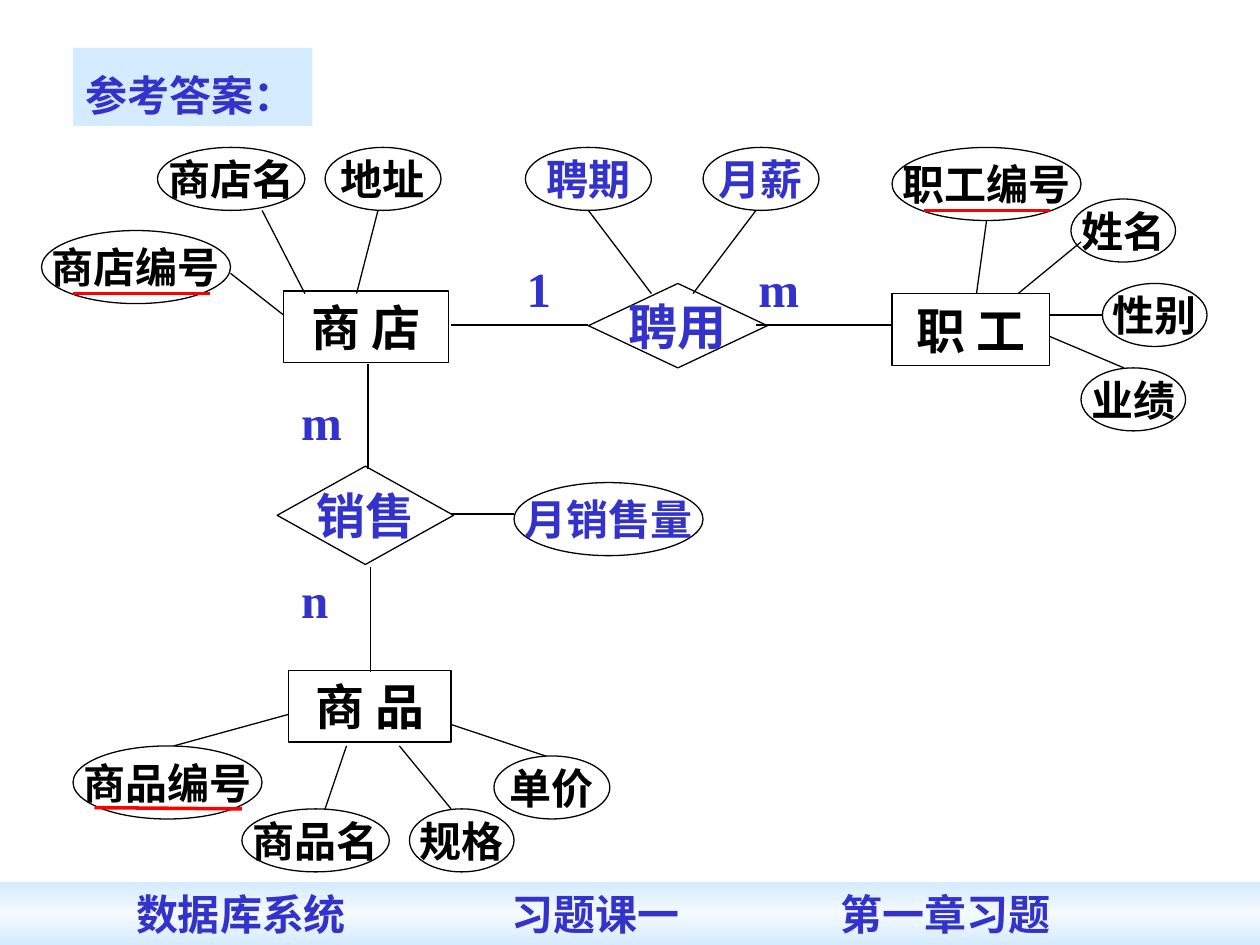
"""Builds the entity-relationship answer slide for shops, goods and staff."""
from copy import deepcopy

from lxml.etree import SubElement
from pptx import Presentation
from pptx.dml.color import RGBColor
from pptx.enum.shapes import MSO_CONNECTOR, MSO_SHAPE
from pptx.enum.text import MSO_ANCHOR, MSO_AUTO_SIZE, PP_ALIGN
from pptx.oxml.ns import qn
from pptx.util import Inches, Pt

BLACK = RGBColor(0x00, 0x00, 0x00)
BLUE = RGBColor(0x33, 0x33, 0xCC)
RED = RGBColor(0xFF, 0x00, 0x00)
PALE = RGBColor(0xD5, 0xEB, 0xFF)
MIST = RGBColor(0xF5, 0xFA, 0xFF)
SERIF, SANS = "Times New Roman", "Noto Sans CJK SC"

HEADING = "参考答案："
FOOTER_PARTS = ["数据库系统", "习题课一", "第一章习题"]
FOOTER_LEFT, FOOTER_TABS = 1.08, [2.98, 5.59]

ENTITIES = [
    ("商 店", 2.25, 2.31, 1.31, 0.57),
    ("商 品", 2.29, 5.32, 1.29, 0.57),
    ("职 工", 7.08, 2.33, 1.25, 0.57),
]
RELATIONSHIPS = [
    ("聘用", 4.67, 2.25, 1.42, 0.67),
    ("销售", 2.2, 3.7, 1.4, 0.78),
]
ENTITY_ATTRIBUTES = [
    ("商店编号", 0.33, 1.83, 1.5, 0.58),
    ("商店名", 1.25, 1.17, 1.17, 0.5),
    ("地址", 2.58, 1.17, 0.92, 0.5),
    ("职工编号", 7.08, 1.17, 1.5, 0.58),
    ("姓名", 8.5, 1.58, 0.83, 0.5),
    ("业绩", 8.58, 2.92, 0.83, 0.5),
    ("性别", 8.75, 2.25, 0.83, 0.5),
    ("规格", 3.25, 6.42, 0.83, 0.5),
    ("商品编号", 0.58, 5.92, 1.5, 0.58),
    ("商品名", 1.92, 6.42, 1.17, 0.5),
    ("单价", 3.92, 6, 0.92, 0.5),
]
RELATIONSHIP_ATTRIBUTES = [
    ("聘期", 4.17, 1.17, 1, 0.5),
    ("月薪", 5.58, 1.17, 0.92, 0.5),
    ("月销售量", 4.08, 3.83, 1.5, 0.58),
]
CARDINALITIES = [("1", 4.18, 2), ("m", 6.02, 2), ("m", 2.39, 3.06), ("n", 2.39, 4.47)]
LINKS = [
    (2.92, 2.89, 2.92, 3.72), (2.94, 4.5, 2.94, 5.33),
    (3.58, 2.58, 4.67, 2.58), (6, 2.58, 7.08, 2.58),
    (1.83, 2.17, 2.25, 2.5), (2.08, 1.67, 2.42, 2.33), (3, 1.67, 2.83, 2.33),
    (1.38, 5.92, 2.29, 5.67), (2.58, 6.42, 2.75, 5.92),
    (3.58, 6.42, 3.17, 5.92), (3.58, 5.75, 4.33, 6),
    (7.75, 2.33, 7.83, 1.75), (8.08, 2.33, 8.58, 1.92),
    (8.33, 2.5, 8.75, 2.5), (8.33, 2.67, 8.92, 2.92),
    (4.67, 1.67, 5.17, 2.33), (6, 1.67, 5.5, 2.33), (3.58, 4.08, 4.08, 4.08),
]
KEY_UNDERLINES = [
    (0.58, 2.33, 1.67, 2.33), (7.33, 1.67, 8.33, 1.67), (0.75, 6.41, 1.92, 6.42),
]


def write(shape, text, size, color, align=PP_ALIGN.CENTER, side=0.0, face=SERIF,
          anchor=MSO_ANCHOR.MIDDLE, wrap=False):
    frame = shape.text_frame
    frame.auto_size = MSO_AUTO_SIZE.NONE
    frame.word_wrap = wrap
    frame.vertical_anchor = anchor
    frame.margin_left = frame.margin_right = Inches(side)
    frame.margin_top = frame.margin_bottom = Inches(0.05)
    paragraph = frame.paragraphs[0]
    paragraph.alignment = align
    run = paragraph.add_run()
    run.text = text
    run.font.name, run.font.size, run.font.bold = face, Pt(size), True
    run.font.color.rgb = color
    SubElement(run.font._element, qn("a:ea"), typeface=SANS)
    return paragraph


def add_node(slide, kind, node, size, color):
    text, *box = node
    shape = slide.shapes.add_shape(kind, *map(Inches, box))
    shape.shadow.inherit = False
    shape.fill.background()
    shape.line.color.rgb = BLACK
    shape.line.width = Pt(0.75)
    write(shape, text, size, color)


def add_line(slide, ends, color, width):
    line = slide.shapes.add_connector(MSO_CONNECTOR.STRAIGHT, *map(Inches, ends))
    line.line.color.rgb = color
    line.line.width = Pt(width)
    SubElement(line._element.spPr, qn("a:effectLst"))


def add_heading(slide):
    heading = slide.shapes.title
    heading.left, heading.top = Inches(0.58), Inches(0.38)
    heading.width, heading.height = Inches(1.9), Inches(0.62)
    heading.fill.solid()
    heading.fill.fore_color.rgb = PALE
    write(heading, HEADING, 24, BLUE, PP_ALIGN.LEFT, 0.1, SANS).line_spacing = 1.3


def add_footer(slide):
    footer = slide.shapes.add_shape(
        MSO_SHAPE.RECTANGLE, 0, Inches(7), Inches(10), Inches(0.5))
    footer.shadow.inherit = False
    footer.line.fill.background()
    footer.fill.gradient()
    footer.fill.gradient_angle = 90
    edge, middle = footer.fill.gradient_stops
    edge.color.rgb, middle.color.rgb = PALE, MIST
    edge.position, middle.position = 0, 0.5
    stops = footer._element.spPr.find(qn("a:gradFill")).find(qn("a:gsLst"))
    stops.append(deepcopy(stops[0]))
    stops[-1].set("pos", "100000")
    paragraph = write(footer, "\t".join(FOOTER_PARTS), 24, BLUE, PP_ALIGN.LEFT, wrap=True)
    footer.text_frame.margin_left = Inches(FOOTER_LEFT)
    tabs = SubElement(paragraph._p.get_or_add_pPr(), qn("a:tabLst"))
    for position in FOOTER_TABS:
        SubElement(tabs, qn("a:tab"), pos=str(Inches(position)), algn="l")


def main():
    deck = Presentation()
    deck.slide_width, deck.slide_height = Inches(10), Inches(7.5)
    slide = deck.slides.add_slide(deck.slide_layouts[5])
    add_heading(slide)
    for kind, nodes, size, color in [
        (MSO_SHAPE.RECTANGLE, ENTITIES, 28, BLACK),
        (MSO_SHAPE.FLOWCHART_DECISION, RELATIONSHIPS, 28, BLUE),
        (MSO_SHAPE.OVAL, ENTITY_ATTRIBUTES, 24, BLACK),
        (MSO_SHAPE.OVAL, RELATIONSHIP_ATTRIBUTES, 24, BLUE),
    ]:
        for node in nodes:
            add_node(slide, kind, node, size, color)
    for lines, color, width in [(LINKS, BLACK, 0.75), (KEY_UNDERLINES, RED, 2)]:
        for ends in lines:
            add_line(slide, ends, color, width)
    for text, left, top in CARDINALITIES:
        label = slide.shapes.add_textbox(*map(Inches, (left, top, 0.4, 0.57)))
        write(label, text, 28, BLUE, PP_ALIGN.LEFT, anchor=MSO_ANCHOR.TOP, wrap=True)
    add_footer(slide)
    deck.save("out.pptx")


if __name__ == "__main__":
    main()
